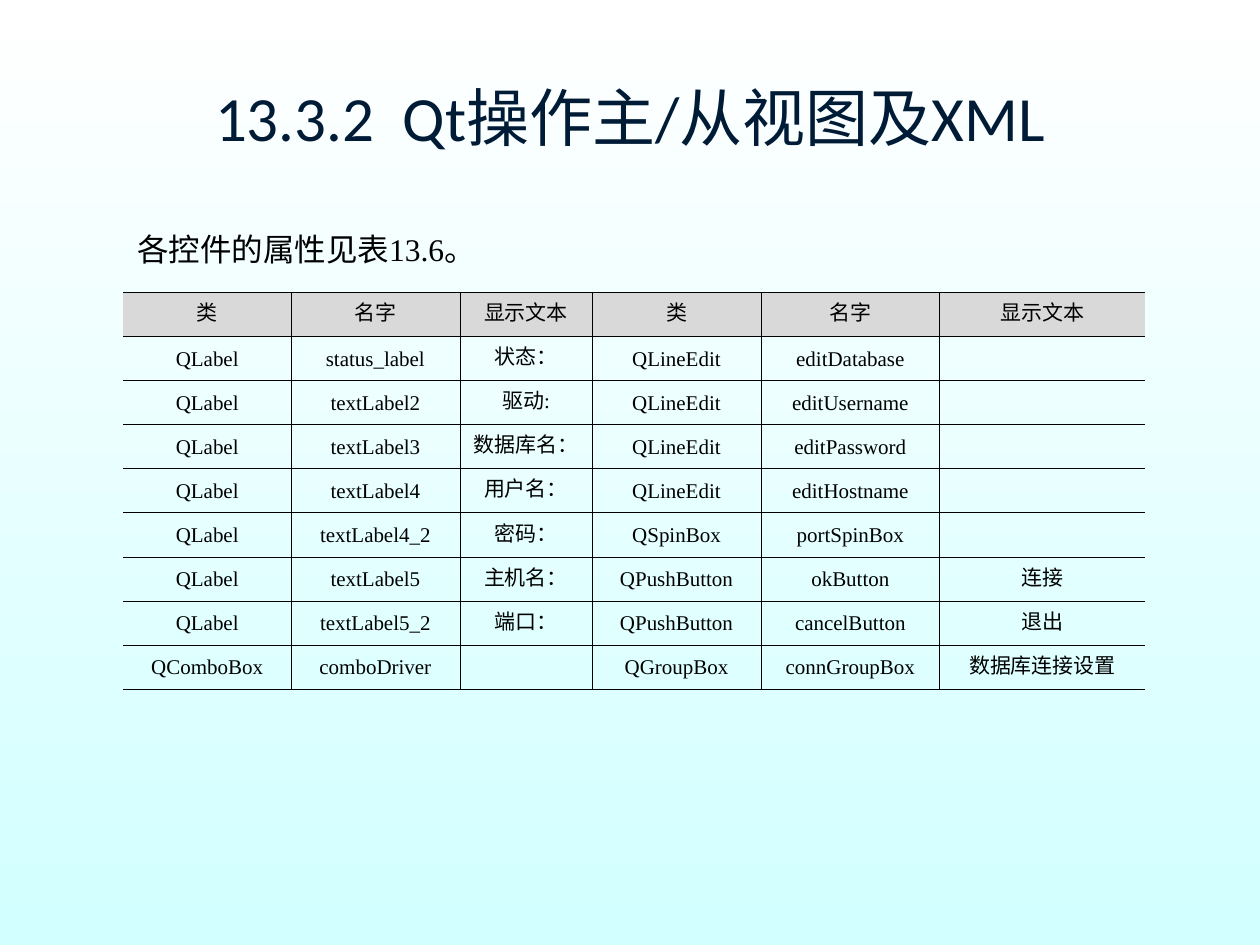
from lxml.etree import SubElement
from pptx import Presentation
from pptx.dml.color import RGBColor
from pptx.enum.text import MSO_ANCHOR as Anchor, MSO_AUTO_SIZE as AutoSize, PP_ALIGN as Align
from pptx.oxml.ns import qn
from pptx.util import Inches, Pt

WHITE = RGBColor(0xFF, 0xFF, 0xFF)
PALE_CYAN = RGBColor(0xD2, 0xFF, 0xFF)
NAVY = RGBColor(0x00, 0x1B, 0x36)
BLACK = RGBColor(0x00, 0x00, 0x00)
HEADER_GREY = RGBColor(0xD9, 0xD9, 0xD9)
NO_STYLE_NO_GRID = "{2D5ABB26-0587-4C30-8999-92F81FD0307C}"

COLUMN_WIDTHS = [1.33, 1.34, 1.05, 1.34, 1.42, 1.63]
ROW_HEIGHT = 0.35
ROWS = [
    ["类", "名字", "显示文本", "类", "名字", "显示文本"],
    ["QLabel", "status_label", "状态：", "QLineEdit", "editDatabase", ""],
    ["QLabel", "textLabel2", "驱动:", "QLineEdit", "editUsername", ""],
    ["QLabel", "textLabel3", "数据库名：", "QLineEdit", "editPassword", ""],
    ["QLabel", "textLabel4", "用户名：", "QLineEdit", "editHostname", ""],
    ["QLabel", "textLabel4_2", "密码：", "QSpinBox", "portSpinBox", ""],
    ["QLabel", "textLabel5", "主机名：", "QPushButton", "okButton", "连接"],
    ["QLabel", "textLabel5_2", "端口：", "QPushButton", "cancelButton", "退出"],
    ["QComboBox", "comboDriver", "", "QGroupBox", "connGroupBox", "数据库连接设置"],
]


def format_paragraph(paragraph, alignment, font_name, size, color, line_spacing=None):
    paragraph.alignment = alignment
    paragraph.line_spacing = line_spacing
    for run in paragraph.runs:
        run.font.name = font_name
        run.font.size = Pt(size)
        run.font.color.rgb = color
    if not paragraph.runs:  # an empty paragraph takes its height from its end mark
        SubElement(paragraph._p, qn("a:endParaRPr"), sz=str(size * 100))


def add_border(cell, side, width):
    """Draw a black line on one side (L, R, T or B) of a cell."""
    properties = cell._tc.get_or_add_tcPr()
    line = SubElement(properties, qn(f"a:ln{side}"), w=str(Pt(width)))
    fill = SubElement(line, qn("a:solidFill"))
    SubElement(fill, qn("a:srgbClr"), val=str(BLACK))


presentation = Presentation()
presentation.slide_width = Inches(10)
presentation.slide_height = Inches(7.5)
slide = presentation.slides.add_slide(presentation.slide_layouts[5])

background = slide.background.fill
background.gradient()
background.gradient_angle = 270
for stop, position, color in zip(background.gradient_stops, (0, 1), (WHITE, PALE_CYAN)):
    stop.position = position
    stop.color.rgb = color

title = slide.shapes.title
title.left, title.top = Inches(0.5), Inches(0.3)
title.width, title.height = Inches(9), Inches(1.25)
title.text_frame.text = "13.3.2  Qt操作主/从视图及XML"
title.text_frame.vertical_anchor = Anchor.MIDDLE
format_paragraph(title.text_frame.paragraphs[0], Align.CENTER, "Calibri", 36, NAVY)

caption = slide.shapes.add_textbox(Inches(0.99), Inches(1.86), Inches(2.89), Inches(0.32))
caption.text_frame.word_wrap = True
caption.text_frame.auto_size = AutoSize.SHAPE_TO_FIT_TEXT
caption.text_frame.text = "各控件的属性见表13.6。"
format_paragraph(caption.text_frame.paragraphs[0], Align.JUSTIFY,
                 "Times New Roman", 18, BLACK, Pt(15.6))

table_frame = slide.shapes.add_table(
    len(ROWS), len(COLUMN_WIDTHS), Inches(0.98), Inches(2.32),
    Inches(sum(COLUMN_WIDTHS)), Inches(ROW_HEIGHT * len(ROWS)))
table = table_frame.table
table._tbl.tblPr.find(qn("a:tableStyleId")).text = NO_STYLE_NO_GRID
table.horz_banding = False
for column, width in zip(table.columns, COLUMN_WIDTHS):
    column.width = Inches(width)

last_column = len(COLUMN_WIDTHS) - 1
for row_index, texts in enumerate(ROWS):
    table.rows[row_index].height = Inches(ROW_HEIGHT)
    is_header = row_index == 0
    for column_index, text in enumerate(texts):
        cell = table.cell(row_index, column_index)
        if text:
            cell.text_frame.text = text
        cell.vertical_anchor = Anchor.MIDDLE
        cell.margin_left = cell.margin_right = Inches(0.04)
        format_paragraph(cell.text_frame.paragraphs[0], Align.CENTER,
                         "Arial" if is_header else "Times New Roman", 12, BLACK, Pt(14))
        # The outer sides stay open; the middle rule between the two halves is heavier.
        if column_index > 0:
            add_border(cell, "L", 0.75 if column_index == 3 else 0.45)
        if column_index < last_column:
            add_border(cell, "R", 0.75 if column_index == 2 else 0.45)
        add_border(cell, "T", 0.45)
        add_border(cell, "B", 0.45)
        if is_header:
            cell.fill.solid()
            cell.fill.fore_color.rgb = HEADER_GREY
        else:
            cell.fill.background()

presentation.save("out.pptx")
